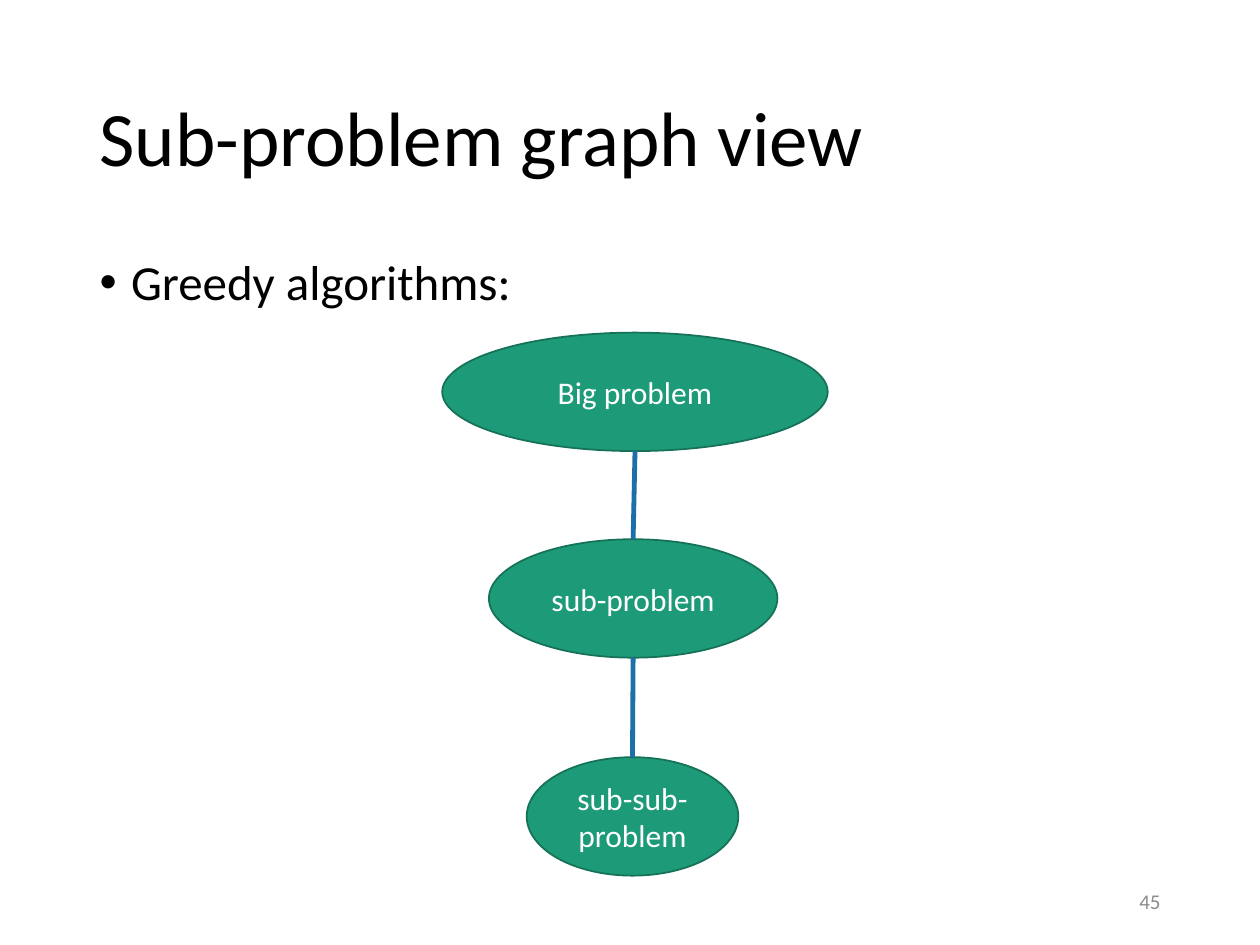
from dataclasses import dataclass

from lxml import etree
from pptx import Presentation
from pptx import util as u
from pptx.dml.color import RGBColor
from pptx.enum import shapes, text
from pptx.oxml import ns


@dataclass(frozen=True)
class Theme:
    font: str = "Calibri"
    ink: str = "000000"
    light: str = "FFFFFF"
    muted: str = "8C8C8C"
    node: str = "1D9A78"
    edge: str = "157259"
    link: str = "1D6FA9"
    title: int = 44
    body: int = 28
    label: int = 18
    small: int = 12


THEME = Theme()


def color(code):
    return RGBColor.from_string(code)


def place(shape, left, top, width, height):
    shape.left, shape.top = u.Inches(left), u.Inches(top)
    shape.width, shape.height = u.Inches(width), u.Inches(height)


def write(shape, words, size, ink=THEME.ink, align=text.PP_ALIGN.LEFT,
          anchor=text.MSO_ANCHOR.MIDDLE, spacing=1.0, bullet=False):
    frame = shape.text_frame
    frame.word_wrap = True
    frame.auto_size = text.MSO_AUTO_SIZE.NONE
    frame.vertical_anchor = anchor
    para = frame.paragraphs[0]
    para.alignment = align
    para.line_spacing = spacing
    para.space_before = u.Pt(0)
    if bullet:
        props = para._p.get_or_add_pPr()
        props.set("marL", str(u.Inches(0.25)))
        props.set("indent", str(u.Inches(-0.25)))
        etree.SubElement(props, ns.qn("a:buFont")).set("typeface", "Arial")
        etree.SubElement(props, ns.qn("a:buChar")).set("char", "•")
    run = para.add_run()
    run.text = words
    run.font.name = THEME.font
    run.font.size = u.Pt(size)
    run.font.color.rgb = color(ink)


def add_node(slide, words, left, top, width, height=0.94):
    node = slide.shapes.add_shape(
        shapes.MSO_SHAPE.OVAL, *map(u.Inches, (left, top, width, height)))
    node.shadow.inherit = False
    node.fill.solid()
    node.fill.fore_color.rgb = color(THEME.node)
    node.line.color.rgb = color(THEME.edge)
    node.line.width = u.Pt(1)
    write(node, words, THEME.label, ink=THEME.light, align=text.PP_ALIGN.CENTER)
    return node


def add_link(slide, upper, lower):
    link = slide.shapes.add_connector(
        shapes.MSO_CONNECTOR.STRAIGHT,
        upper.left + upper.width // 2, upper.top + upper.height,
        lower.left + lower.width // 2, lower.top)
    link.line.color.rgb = color(THEME.link)
    link.line.width = u.Pt(2.75)
    etree.SubElement(link._element.spPr, ns.qn("a:effectLst"))


def main():
    deck = Presentation()
    deck.slide_width, deck.slide_height = u.Inches(10), u.Inches(7.5)
    slide = deck.slides.add_slide(deck.slide_layouts[1])

    title, body = slide.placeholders
    place(title, 0.69, 0.4, 8.62, 1.45)
    write(title, "Sub-problem graph view", THEME.title, spacing=0.9)
    place(body, 0.69, 2, 8.62, 4.76)
    write(body, "Greedy algorithms:", THEME.body, spacing=0.9,
          anchor=text.MSO_ANCHOR.TOP, bullet=True)

    chain = [
        ("Big problem", 3.51, 2.64, 3.06),
        ("sub-problem", 3.88, 4.28, 2.29),
        ("sub-sub-problem", 4.18, 6.01, 1.68),
    ]
    nodes = [add_node(slide, *item) for item in chain]
    for upper, lower in zip(nodes, nodes[1:]):
        add_link(slide, upper, lower)

    number = slide.shapes.add_textbox(*map(u.Inches, (7.06, 6.95, 2.25, 0.4)))
    write(number, "45", THEME.small, ink=THEME.muted, align=text.PP_ALIGN.RIGHT)
    deck.save("out.pptx")


if __name__ == "__main__":
    main()
